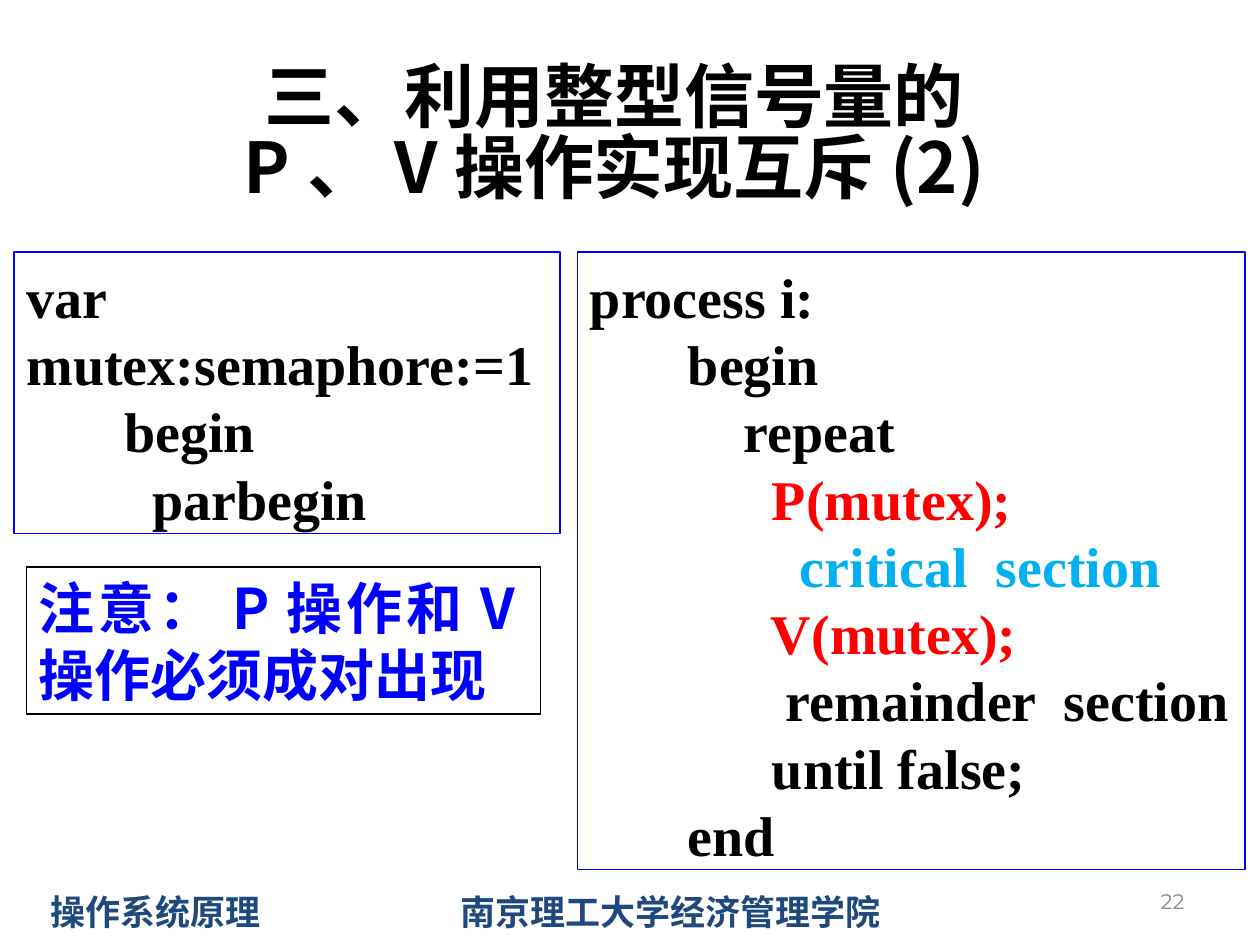
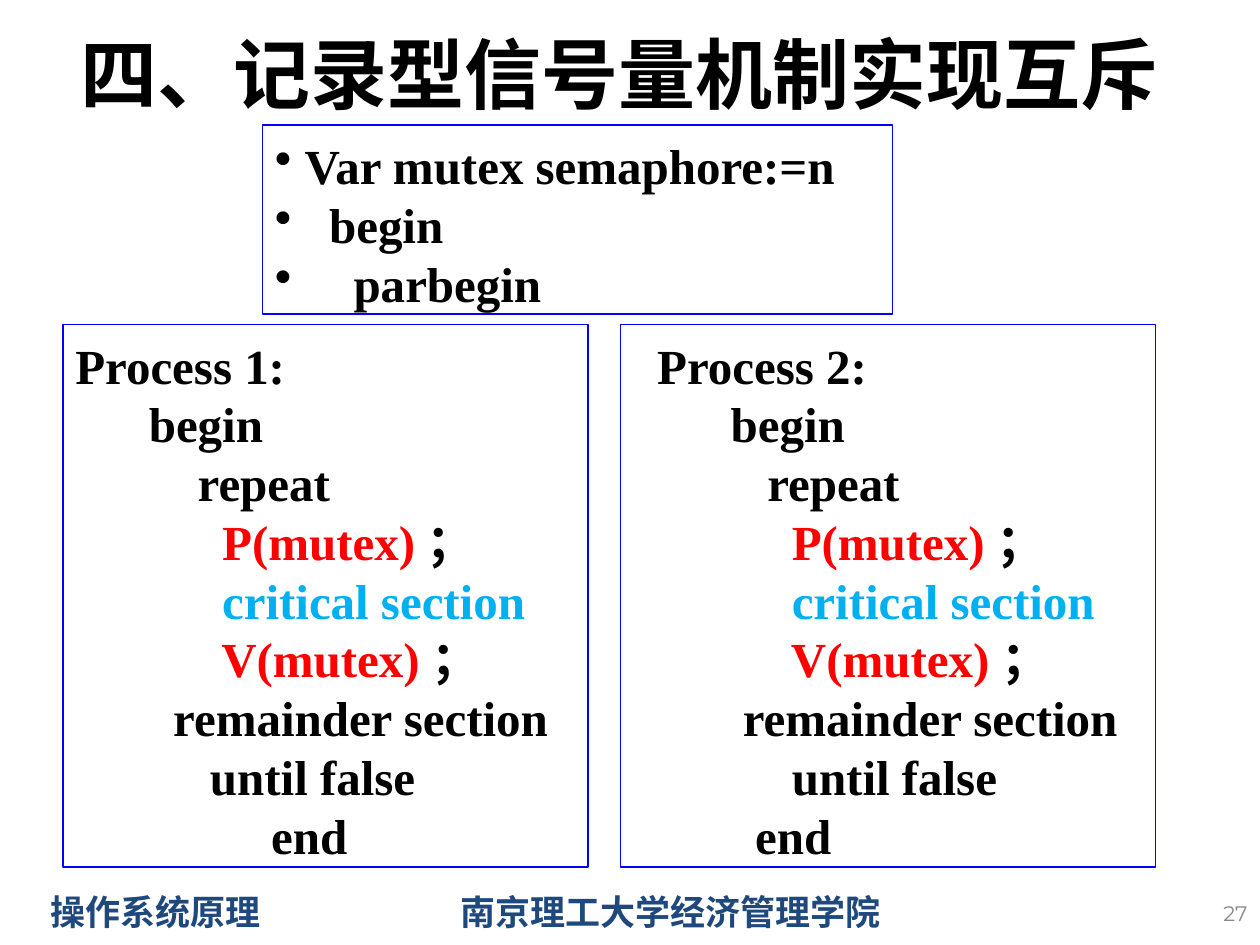
import pptx
import pptx.dml.color
import pptx.enum.text
import pptx.oxml.ns
import pptx.util
from lxml import etree

Pt = pptx.util.Pt
Align = pptx.enum.text.PP_ALIGN
Anchor = pptx.enum.text.MSO_ANCHOR

CJK_FONT = "Noto Sans CJK SC"
CODE_FONT = "Times New Roman"
BLACK, BLUE, RED, CYAN = "000000", "0000FF", "FF0000", "00B0F0"
NAVY, GREY = "1F497D", "898989"
TITLE_ONLY = 5
SEMICOLON = "；"

MUTEX_STEPS = [
    "begin", "repeat", f"P(mutex){SEMICOLON}", "critical section",
    f"V(mutex){SEMICOLON}", "remainder section", "until false", "end",
]


def rgb(hex_colour):
    return pptx.dml.color.RGBColor.from_string(hex_colour)


def add_child(parent, tag, **attributes):
    return etree.SubElement(parent, pptx.oxml.ns.qn(tag), attributes)


def style_run(run, font, size, colour, bold=True):
    run.font.name = font
    run.font.size = Pt(size)
    run.font.bold = bold
    run.font.color.rgb = rgb(colour)
    add_child(run.font._element, "a:ea", typeface=CJK_FONT)


def style_paragraph(paragraph, font, size, colour, bold=True):
    for run in paragraph.runs:
        style_run(run, font, size, colour, bold)


def set_frame(frame, anchor=Anchor.TOP, left=7.2, top=3.6):
    frame.word_wrap = True
    frame.auto_size = pptx.enum.text.MSO_AUTO_SIZE.NONE
    frame.vertical_anchor = anchor
    frame.margin_left, frame.margin_right = Pt(left), Pt(7.2)
    frame.margin_top, frame.margin_bottom = Pt(top), Pt(3.6)


def add_title(slide, box, text, font, size, spacing=1.0):
    title = slide.shapes.title
    title.left, title.top, title.width, title.height = map(Pt, box)
    set_frame(title.text_frame, Anchor.MIDDLE)
    title.text_frame.text = text
    heading = title.text_frame.paragraphs[0]
    heading.alignment = Align.CENTER
    heading.line_spacing = spacing
    style_paragraph(heading, font, size, BLACK)


def add_footer(slide):
    frame = slide.shapes.add_textbox(*map(Pt, (0, 505.5, 720, 31.5))).text_frame
    set_frame(frame, left=29)
    frame.text = "操作系统原理\t南京理工大学经济管理学院"
    footer = frame.paragraphs[0]
    tabs = add_child(footer._p.get_or_add_pPr(), "a:tabLst")
    add_child(tabs, "a:tab", pos=str(Pt(234)), algn="l")
    style_paragraph(footer, CJK_FONT, 20, NAVY)


def add_page_number(slide, box, number):
    frame = slide.shapes.add_textbox(*map(Pt, box)).text_frame
    set_frame(frame, Anchor.MIDDLE)
    frame.text = str(number)
    frame.paragraphs[0].alignment = Align.RIGHT
    style_paragraph(frame.paragraphs[0], "Montserrat", 12, GREY, bold=False)


def add_frame_box(slide, box, line_colour, top=3.6):
    panel = slide.shapes.add_shape(
        pptx.enum.shapes.MSO_SHAPE.RECTANGLE, *map(Pt, box))
    panel.shadow.inherit = False
    panel.fill.background()
    panel.line.color.rgb = rgb(line_colour)
    panel.line.width = Pt(0.75)
    set_frame(panel.text_frame, top=top)
    return panel.text_frame


def add_bullet(paragraph):
    properties = paragraph._p.get_or_add_pPr()
    properties.set("marL", str(Pt(17)))
    properties.set("indent", str(-Pt(17)))
    colour = add_child(properties, "a:buClr")
    add_child(colour, "a:srgbClr", val=BLACK)
    add_child(properties, "a:buChar", char="•")


def code_colour(statement):
    if "(mutex)" in statement:
        return RED
    return CYAN if "critical" in statement else BLACK


def add_code(slide, box, lines, size, bulleted=False):
    frame = add_frame_box(slide, box, BLUE, top=6)
    for index, line in enumerate(lines):
        row = frame.add_paragraph() if index else frame.paragraphs[0]
        if bulleted:
            add_bullet(row)
        row.alignment = Align.LEFT
        row.line_spacing = Pt(1.2 * size)
        statement, mark, _ = line.partition(SEMICOLON)
        row.text = statement
        style_paragraph(row, CODE_FONT, size, code_colour(statement))
        if mark:
            ending = row.add_run()
            ending.text = mark
            style_run(ending, CODE_FONT, size, BLACK)


def add_note(slide, box, text):
    frame = add_frame_box(slide, box, BLACK)
    frame.text = text
    frame.paragraphs[0].alignment = Align.JUSTIFY
    style_paragraph(frame.paragraphs[0], CJK_FONT, 32, BLUE)


def process_lines(name, indents):
    return [" " * indent + step
            for indent, step in zip(indents, [name] + MUTEX_STEPS)]


def add_slide(deck):
    slide = deck.slides.add_slide(deck.slide_layouts[TITLE_ONLY])
    add_footer(slide)
    return slide


def build_integer_semaphore(deck):
    slide = add_slide(deck)
    add_title(slide, (36, 30, 630, 96),
              "三、利用整型信号量的\vP、V操作实现互斥(2)", CJK_FONT, 40, 0.85)
    add_page_number(slide, (516, 500.5, 168, 29), 22)
    add_note(slide, (15, 324, 294, 84), "注意：P操作和V操作必须成对出现")
    add_code(slide, (330, 144, 381.5, 353), [
        "process i:",
        "       begin",
        "           repeat",
        "             P(mutex);",
        "               critical  section",
        "             V(mutex);",
        "              remainder  section",
        "             until false;",
        "       end",
    ], 32)
    add_code(slide, (8, 144, 312, 161), [
        "var mutex:semaphore:=1",
        "       begin",
        "         parbegin",
    ], 32)


def build_record_semaphore(deck):
    slide = add_slide(deck)
    add_title(slide, (36, 11.5, 636, 60),
              "四、记录型信号量机制实现互斥", "Calibri", 44)
    add_page_number(slide, (570, 508.5, 150, 26), 27)
    add_code(slide, (150, 71.5, 360, 108), [
        "Var mutex semaphore:=n",
        "  begin",
        "    parbegin",
    ], 28, bulleted=True)
    process_1 = process_lines("Process 1:", (0, 6, 10, 12, 12, 12, 8, 11, 16))
    process_2 = process_lines("Process 2:", (2, 8, 11, 13, 13, 13, 9, 13, 10))
    add_code(slide, (36, 185.5, 300, 310), process_1, 28)
    add_code(slide, (354.5, 185.5, 306, 310), process_2, 28)


def main():
    deck = pptx.Presentation()
    deck.slide_width, deck.slide_height = Pt(720), Pt(540)
    build_integer_semaphore(deck)
    build_record_semaphore(deck)
    deck.save("out.pptx")


if __name__ == "__main__":
    main()
